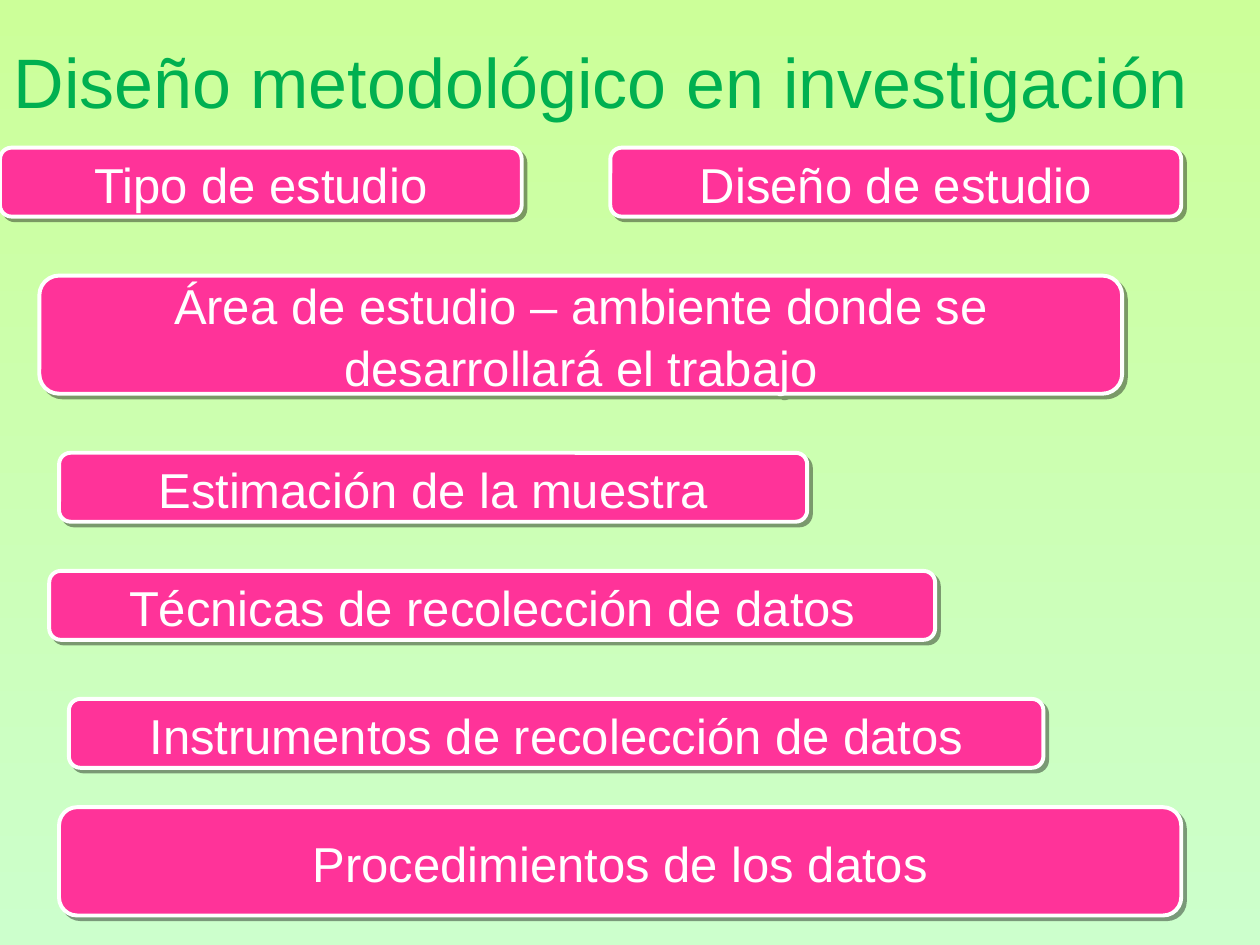
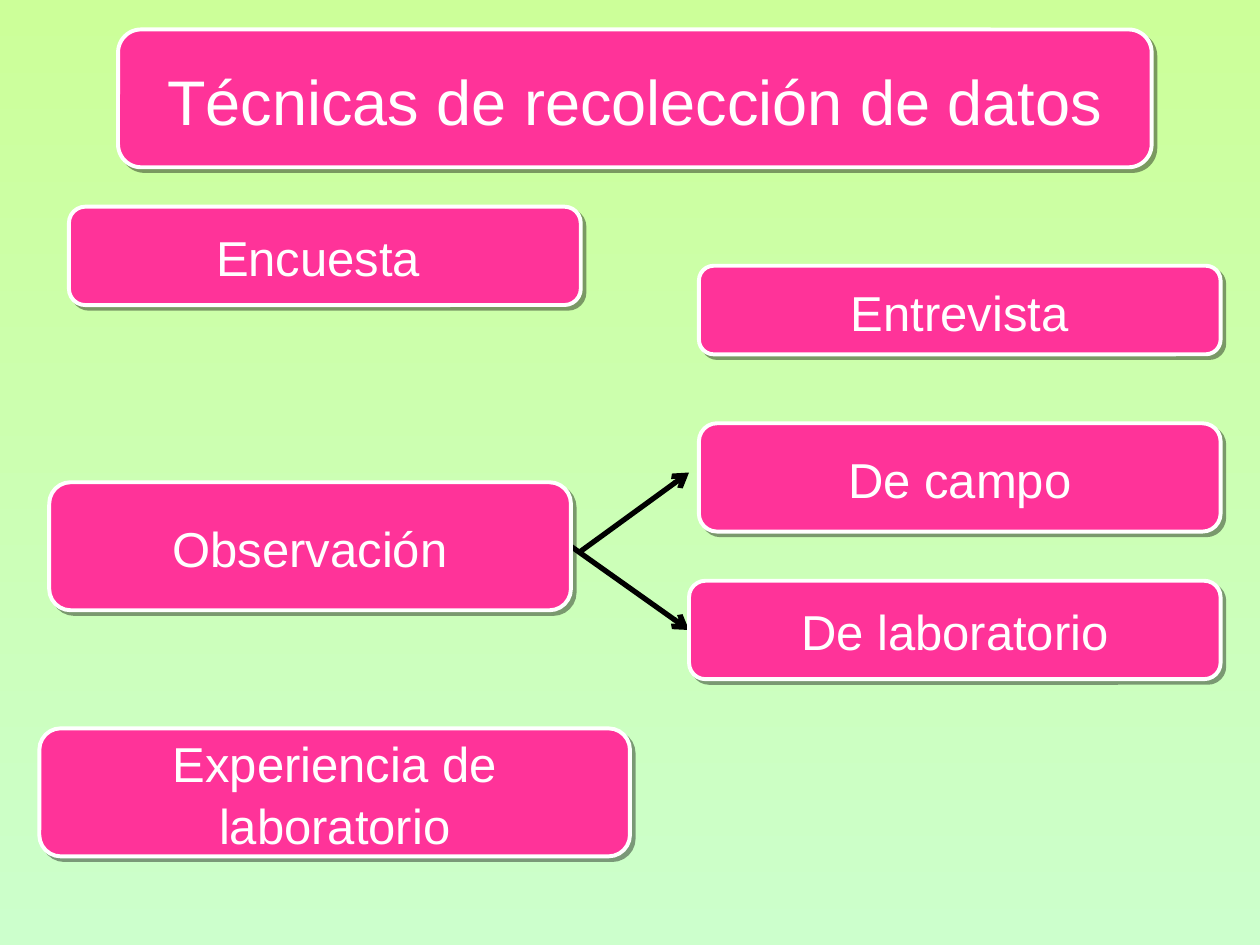
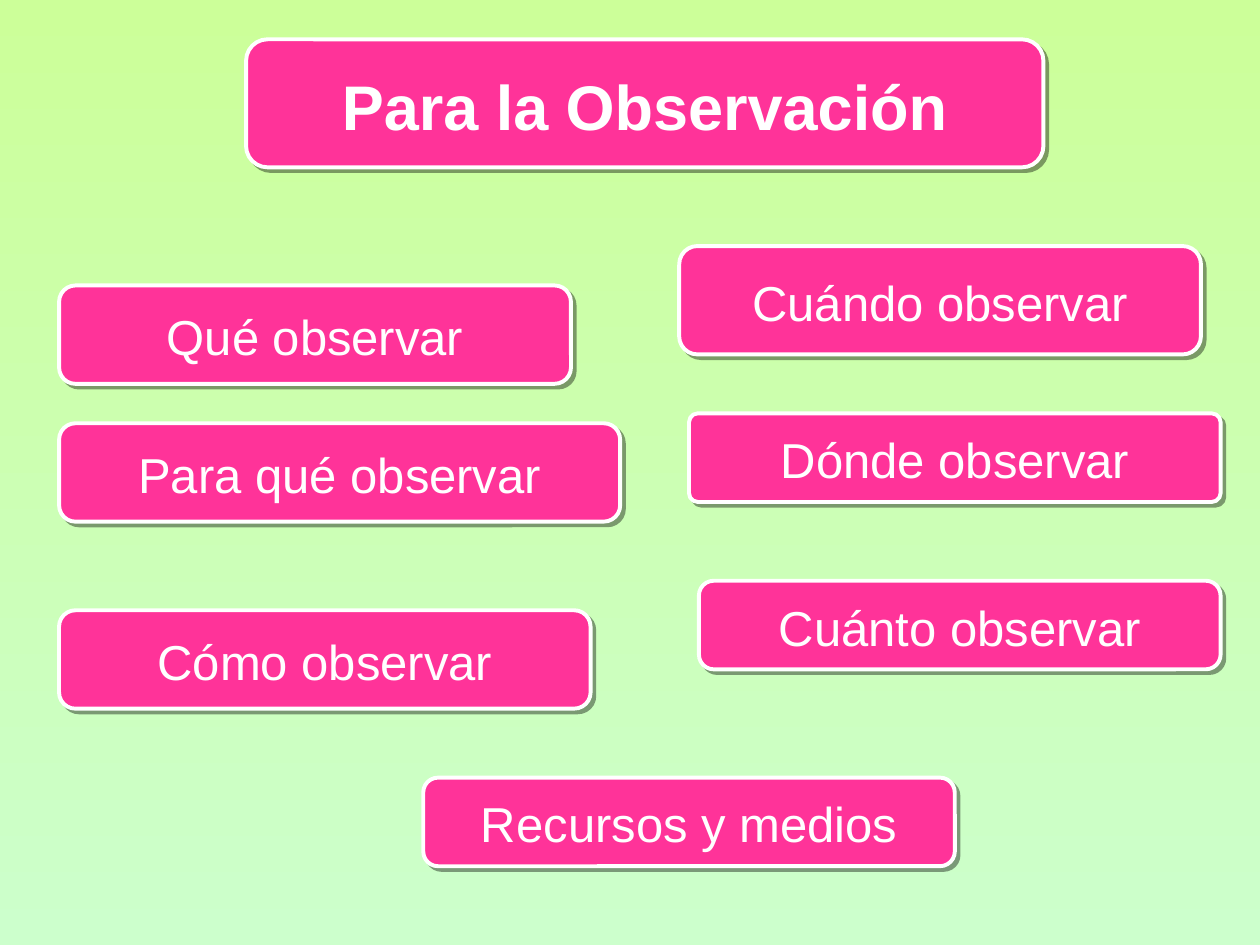
"""Three slides on the design of a study and on ways to collect data."""
from lxml import etree
from pptx import Presentation
from pptx import util as u
from pptx.dml.color import RGBColor
from pptx.enum import shapes, text
from pptx.oxml import parse_xml
from pptx.oxml.ns import nsdecls, qn

WIDE, HIGH = 720, 540
CELL = WIDE / 128  # places are whole cells of a 128 by 96 grid
FONT = "Arial"
PINK, WHITE, GREEN, BLACK = "FF3399", "FFFFFF", "00B050", "000000"
SKY = ("CCFF99", "CCFFCC")

# Boxes: words, then left, top, width and height in cells
DESIGN = [
    ("Tipo de estudio", 0, 15, 53, 7),
    ("Diseño de estudio", 62, 15, 58, 7),
    ("Estimación de la muestra", 6, 46, 76, 7),
    ("Área de estudio – ambiente donde se desarrollará el trabajo",
     4, 28, 110, 12),
    ("Técnicas de recolección de datos", 5, 58, 90, 7),
    ("Instrumentos de recolección de datos", 7, 71, 99, 7),
    ("Procedimientos de los datos", 6, 82, 114, 11),
]
METHODS = [
    ("Observación", 5, 49, 53, 13),
    ("Entrevista", 71, 27, 53, 9),
    ("Encuesta ", 7, 21, 52, 10),
    ("De laboratorio", 70, 59, 54, 10),
    ("De campo", 71, 43, 53, 11),
    ("Experiencia de laboratorio", 4, 74, 60, 13),
]
WATCH = [
    ("Cuándo observar", 69, 25, 53, 11),
    ("Para qué observar", 6, 43, 57, 10),
    ("Qué observar", 6, 29, 52, 10),
    ("Cómo observar", 6, 62, 54, 10),
    ("Cuánto observar", 71, 59, 53, 9),
    ("Recursos y medios", 43, 79, 54, 9),
]


def rgb(code):
    """Turn a hex string into a colour."""
    return RGBColor.from_string(code)


def grid(*cells):
    """Turn grid cells into lengths in points."""
    return [u.Pt(n * CELL) for n in cells]


def new_slide(deck):
    """Add a blank slide with the shared gradient."""
    slide = deck.slides.add_slide(deck.slide_layouts[6])
    fill = slide.background.fill
    fill.gradient()
    fill.gradient_angle = 270
    for stop, code, at in zip(fill.gradient_stops, SKY, (0, 1)):
        stop.color.rgb = rgb(code)
        stop.position = at
    return slide


def write(shape, words, size, code, bold=False):
    """Put one centred paragraph in a shape."""
    frame = shape.text_frame
    frame.word_wrap = True
    frame.vertical_anchor = text.MSO_ANCHOR.MIDDLE
    para = frame.paragraphs[0]
    para.text = words
    para.alignment = text.PP_ALIGN.CENTER
    para.line_spacing = 1.05
    font = para.font
    font.name, font.size, font.bold = FONT, u.Pt(size), bold
    font.color.rgb = rgb(code)


def cast(shape):
    """Give a shape a hard shadow to the lower right."""
    shape.shadow.inherit = False
    effects = shape._element.spPr.find(qn("a:effectLst"))
    effects.append(parse_xml(
        f'<a:outerShdw {nsdecls("a")} blurRad="0" dist="{u.Pt(3)}" '
        f'dir="2700000" algn="ctr" rotWithShape="0"><a:srgbClr val="{BLACK}">'
        '<a:alpha val="40000"/></a:srgbClr></a:outerShdw>'))


def add_box(slide, words, left, top, wide, high,
            size=28, bold=False, curve=0.167):
    """Add a pink rounded box with white words."""
    box = slide.shapes.add_shape(shapes.MSO_SHAPE.ROUNDED_RECTANGLE,
                                 *grid(left, top, wide, high))
    box.adjustments[0] = curve
    box.fill.solid()
    box.fill.fore_color.rgb = rgb(PINK)
    box.line.color.rgb = rgb(WHITE)
    box.line.width = u.Pt(2.24)
    cast(box)
    write(box, words, size, WHITE, bold)


def add_title(slide, words):
    """Add the open green title at the top."""
    title = slide.shapes.add_textbox(*grid(0, 0, 124, 16))
    write(title, words, 40, GREEN)


def add_arrow(slide, *ends):
    """Add a black arrow between two points of the grid."""
    arrow = slide.shapes.add_connector(shapes.MSO_CONNECTOR.STRAIGHT,
                                       *grid(*ends))
    arrow.line.color.rgb = rgb(BLACK)
    arrow.line.width = u.Pt(3)
    etree.SubElement(arrow.line._get_or_add_ln(), qn("a:tailEnd"),
                     type="arrow")
    etree.SubElement(arrow._element.spPr, qn("a:effectLst"))


def add_all(slide, boxes):
    """Add each box of a list."""
    for box in boxes:
        add_box(slide, *box)


def main():
    """Build and save the deck."""
    deck = Presentation()
    deck.slide_width, deck.slide_height = u.Pt(WIDE), u.Pt(HIGH)

    slide = new_slide(deck)
    add_title(slide, "Diseño metodológico en investigación ")
    add_all(slide, DESIGN)

    slide = new_slide(deck)
    add_arrow(slide, 58, 55.5, 70, 64)
    add_box(slide, "Técnicas de recolección de datos", 12, 3, 105, 14, size=36)
    add_all(slide, METHODS)
    add_arrow(slide, 59, 56, 70, 48)

    slide = new_slide(deck)
    add_box(slide, "Para la Observación", 25, 4, 81, 13, size=36, bold=True)
    add_all(slide, WATCH)
    add_box(slide, "Dónde observar", 70, 42, 54, 9, curve=0.1)

    deck.save("out.pptx")


main()
